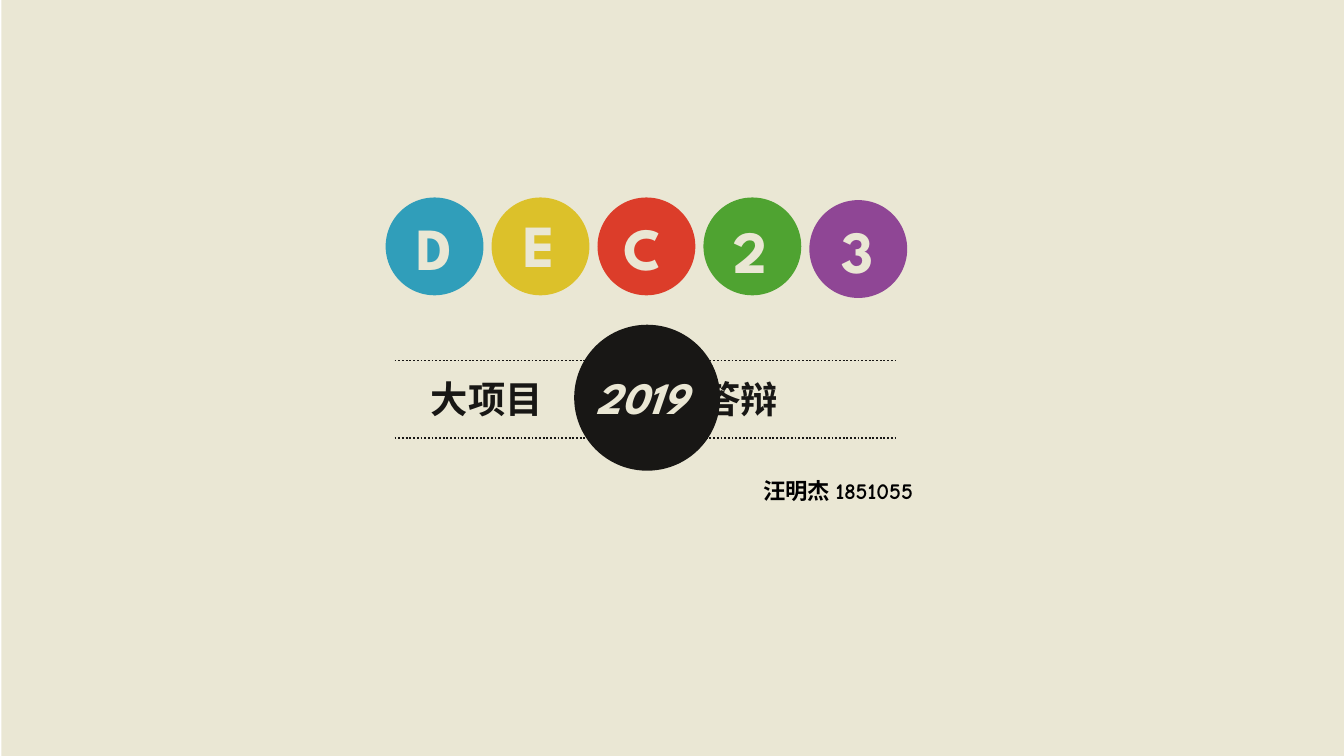
from pptx import Presentation
from pptx.dml.color import RGBColor
from pptx.enum.dml import MSO_LINE
from pptx.enum.shapes import MSO_CONNECTOR, MSO_SHAPE
from pptx.oxml.ns import qn
from pptx.util import Pt

OVAL, RECT = MSO_SHAPE.OVAL, MSO_SHAPE.RECTANGLE
STRAIGHT = MSO_CONNECTOR.STRAIGHT
DOTTED = MSO_LINE.ROUND_DOT

THEME = {
    "cream": "EAE7D4", "ink": "181715", "black": "000000",
    "display": "League Spartan", "body": "Comic Neue", "cjk": "Noto Sans CJK SC",
    "letter": 32, "year": 24, "title": 20, "author": 12,
}

# Content: letter, disc colour, disc top, then left, top and width of the letter
BADGES = [
    ("D", "309EBA", 105.8, (216, 109.4, 36)),
    ("E", "DCC12A", 105.8, (273.6, 108, 33)),
    ("C", "DC3D2A", 105.8, (326.9, 109.4, 41)),
    ("2", "4FA331", 105.8, (385.9, 110.9, 34)),
    ("3", "8F4695", 107.2, (443.5, 110.9, 34)),
]
TITLE = [("大项目", 223.7, 68), ("答辩", 369.6, 56)]
YEAR = "2019"
AUTHOR = "汪明杰 1851055"

# Layout in points
DISC, DISC_LEFT, DISC_STEP = 52.4, 206.6, 56.75
RULE_LEFT, RULE_RIGHT, RULE_TOPS = 211.4, 480.1, (193.1, 234.5)

prs = Presentation()
prs.slide_width, prs.slide_height = Pt(720), Pt(405)
s = prs.slides.add_slide(prs.slide_layouts[6])


def colour(value):
    return RGBColor.from_string(THEME.get(value, value))


def add_shape(kind, left, top, width, height, fill):
    sp = s.shapes.add_shape(kind, Pt(left), Pt(top), Pt(width), Pt(height))
    sp.shadow.inherit = False
    sp.fill.solid()
    sp.fill.fore_color.rgb = colour(fill)
    sp.line.fill.background()


def add_text(text, left, top, width, height, size, font, fill, italic=None):
    tf = s.shapes.add_textbox(Pt(left), Pt(top), Pt(width), Pt(height)).text_frame
    tf.word_wrap = True
    tf.text = text
    r = tf.paragraphs[0].runs[0]
    r.font.size, r.font.name = Pt(THEME[size]), THEME[font]
    r.font.bold, r.font.italic = True, italic
    r.font.color.rgb = colour(fill)
    # Chinese characters take their own typeface
    ea = r.font._element.makeelement(qn("a:ea"), {"typeface": THEME["cjk"]})
    r.font._element.append(ea)


def add_rule(top):
    line = s.shapes.add_connector(STRAIGHT, Pt(RULE_LEFT), Pt(top), Pt(RULE_RIGHT), Pt(top))
    line.line.color.rgb = colour("ink")
    line.line.width = Pt(1)
    line.line.dash_style = DOTTED
    sp_pr = line._element.spPr
    sp_pr.append(sp_pr.makeelement(qn("a:effectLst"), {}))


# Background
add_shape(RECT, 0.7, -1.2, 719.3, 406.2, "cream")

# Date badges
for i, (_, fill, top, _) in enumerate(BADGES):
    add_shape(OVAL, DISC_LEFT + i * DISC_STEP, top, DISC, DISC, fill)
for letter, _, _, (left, top, width) in BADGES:
    add_text(letter, left, top, width, 46, "letter", "display", "cream")

# Author
add_text(AUTHOR, 401.8, 252, 102, 21.8, "author", "body", "black")

# Dotted rules, year disc and title
for top in RULE_TOPS:
    add_rule(top)
add_shape(OVAL, 307.6, 174, 78.2, 78.2, "ink")
add_text(YEAR, 312, 194.4, 70, 36, "year", "display", "cream", True)
for text, left, width in TITLE:
    add_text(text, left, 198, width + 8, 31.5, "title", "cjk", "ink")

prs.save("out.pptx")
